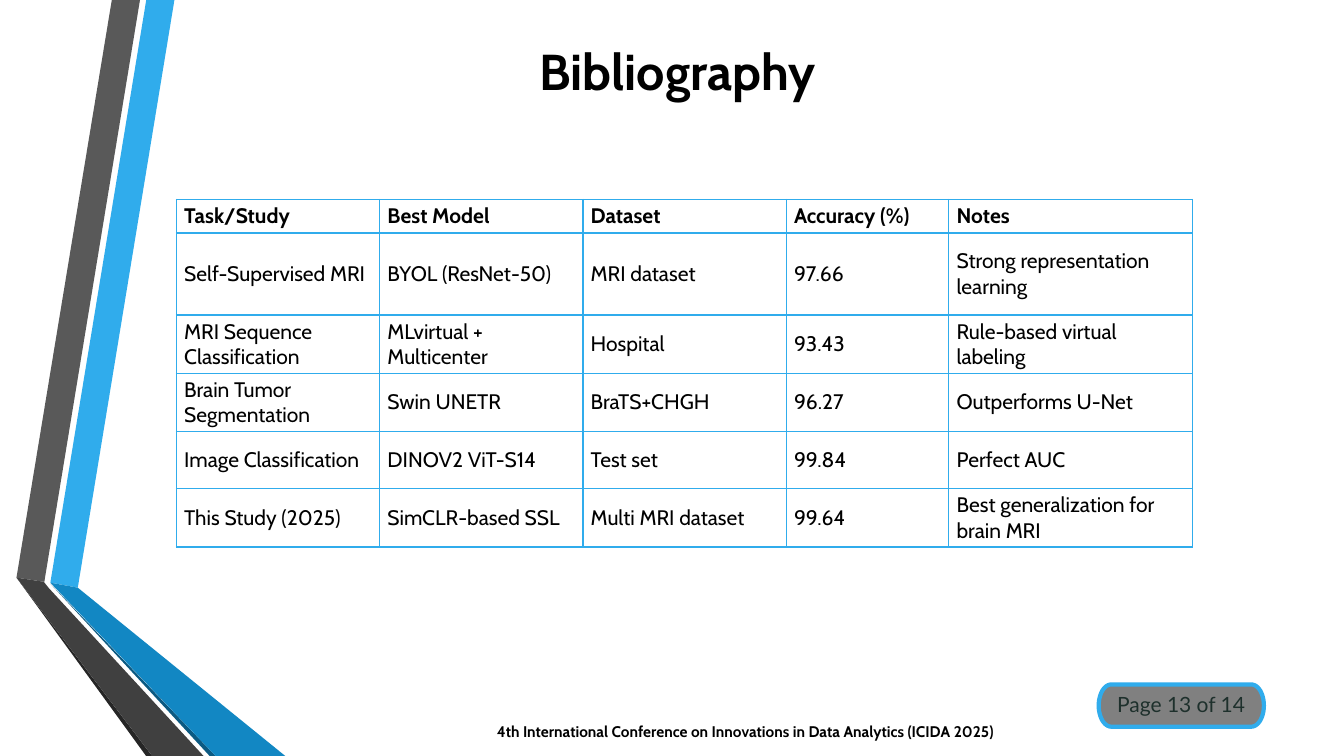
import math
from dataclasses import dataclass

from lxml import etree
from pptx import Presentation
from pptx import util as u
from pptx.dml import color
from pptx.enum import text as t
from pptx.oxml import ns

Pt = u.Pt


@dataclass(frozen=True)
class Theme:
    font: str = "Cabin"
    badge_font: str = "Lato"
    black: str = "000000"
    accent: str = "30ACEC"
    badge_fill: str = "808080"
    badge_text: str = "1E302C"
    title_size: float = 36
    body_size: float = 15
    footer_size: float = 11


THEME = Theme()

RIBBONS = [
    ("30ACEC", [(36, 416.2), (55.6, 419.8), (124.6, 0), (104.5, 0)]),
    ("595959", [(100, 0), (79.9, 0), (11.8, 412.6), (31.7, 415.6)]),
    ("262626", [(11.8, 412.6), (104.4, 540), (108.7, 540)]),
    ("0C5A82", [(36, 416.9), (149.8, 540), (154.1, 540)]),
    ("1287C3", [(36, 416.2), (154.1, 540), (203.8, 540), (55.6, 419.8)]),
    ("404040", [(145.4, 540), (34.6, 419.8), (31.3, 415.6), (11.8, 412.6), (108.7, 540)]),
]

STUDIES = [
    ["Task/Study", "Best Model", "Dataset", "Accuracy (%)", "Notes"],
    ["Self-Supervised MRI", "BYOL (ResNet-50)", "MRI dataset", "97.66",
     "Strong representation learning"],
    ["MRI Sequence Classification", "MLvirtual + Multicenter", "Hospital", "93.43",
     "Rule-based virtual labeling"],
    ["Brain Tumor Segmentation", "Swin UNETR", "BraTS+CHGH", "96.27", "Outperforms U-Net"],
    ["Image Classification", "DINOV2 ViT-S14", "Test set", "99.84", "Perfect AUC"],
    ["This Study (2025)", "SimCLR-based SSL", "Multi MRI dataset", "99.64",
     "Best generalization for brain MRI"],
]
COLUMN_SHARES = [0.2, 0.2, 0.2, 0.16, 0.24]
ROW_HEIGHTS = [24, 58.5] + [41] * 4


def rgb(value):
    return color.RGBColor.from_string(value)


def set_attributes(target, values):
    for name, value in values.items():
        setattr(target, name, value)


def write_text(frame, content, size, font=THEME.font, ink=THEME.black, bold=False,
               align=t.PP_ALIGN.LEFT):
    paragraph = frame.paragraphs[0]
    paragraph.alignment = align
    run = paragraph.add_run()
    run.text = content
    set_attributes(run.font, {"name": font, "size": Pt(size), "bold": bold})
    run.font.color.rgb = rgb(ink)
    return paragraph


def add_text_box(slide, box, margins=None):
    frame = slide.shapes.add_textbox(*map(Pt, box)).text_frame
    set_attributes(frame, {"word_wrap": True, "vertical_anchor": t.MSO_ANCHOR.MIDDLE})
    if margins is not None:
        set_attributes(frame, {f"margin_{side}": Pt(margins)
                               for side in ("left", "top", "right", "bottom")})
    return frame


def add_polygon(slide, left, top, points, fill):
    corners = [(Pt(x), Pt(y)) for x, y in points]
    builder = slide.shapes.build_freeform(*corners[0])
    builder.add_line_segments(corners[1:], close=True)
    shape = builder.convert_to_shape(Pt(left), Pt(top))
    shape.shadow.inherit = False
    shape.fill.solid()
    shape.fill.fore_color.rgb = rgb(fill)
    shape.line.fill.background()
    return shape


# Folded ribbons down the left edge
def add_ribbons(slide, left, top):
    for fill, points in RIBBONS:
        add_polygon(slide, left, top, points, fill)


# Slide title
def add_title(slide, box):
    title = slide.shapes.title
    set_attributes(title, dict(zip(("left", "top", "width", "height"), map(Pt, box))))
    set_attributes(title.text_frame, {"word_wrap": True, "auto_size": t.MSO_AUTO_SIZE.NONE,
                                      "vertical_anchor": t.MSO_ANCHOR.MIDDLE})
    write_text(title.text_frame, "Bibliography", THEME.title_size, bold=True,
               align=t.PP_ALIGN.CENTER)


def add_cell_borders(cell):
    properties = cell._tc.get_or_add_tcPr()
    for side in ("lnL", "lnR", "lnT", "lnB"):
        line = etree.SubElement(properties, ns.qn(f"a:{side}"), w=str(Pt(1)))
        fill = etree.SubElement(line, ns.qn("a:solidFill"))
        etree.SubElement(fill, ns.qn("a:srgbClr"), val=THEME.accent)


# Comparison table
def add_study_table(slide, box):
    table = slide.shapes.add_table(len(STUDIES), len(COLUMN_SHARES), *map(Pt, box)).table
    set_attributes(table, {"first_row": False, "horz_banding": False})
    for column, share in zip(table.columns, COLUMN_SHARES):
        column.width = Pt(box[2] * share)
    for row, height, values in zip(table.rows, ROW_HEIGHTS, STUDIES):
        row.height = Pt(height)
        for cell, value in zip(row.cells, values):
            set_attributes(cell, {"margin_left": Pt(5.6), "margin_right": Pt(5.6),
                                  "margin_top": Pt(2.8), "margin_bottom": Pt(2.8),
                                  "vertical_anchor": t.MSO_ANCHOR.MIDDLE})
            write_text(cell.text_frame, value, THEME.body_size, bold=values is STUDIES[0])
            add_cell_borders(cell)
            cell.fill.background()


# Conference line
def add_footer(slide, box):
    write_text(add_text_box(slide, box),
               "4th International Conference on Innovations in Data Analytics (ICIDA 2025)",
               THEME.footer_size, bold=True)


# Page badge with elliptical ends
def add_page_badge(slide, box):
    left, top, width, height = box
    radius_x, radius_y, steps = 9, height / 2, 24
    outline = []
    for centre, start in ((width - radius_x, -90), (radius_x, 90)):
        for step in range(steps + 1):
            angle = math.radians(start + 180 * step / steps)
            outline.append((centre + radius_x * math.cos(angle),
                            radius_y + radius_y * math.sin(angle)))
    badge = add_polygon(slide, left, top, outline, THEME.badge_fill)
    badge.line.color.rgb = rgb(THEME.accent)
    badge.line.width = Pt(3)

    frame = add_text_box(slide, (left - 25, top + 2.2, 167.8, 20.2), margins=0)
    frame.vertical_anchor = t.MSO_ANCHOR.TOP
    paragraph = write_text(frame, "Page 13 of 14", THEME.body_size, THEME.badge_font,
                           THEME.badge_text, align=t.PP_ALIGN.CENTER)
    paragraph.line_spacing = Pt(21)


def main():
    presentation = Presentation()
    set_attributes(presentation, {"slide_width": Pt(960), "slide_height": Pt(540)})
    slide = presentation.slides.add_slide(presentation.slide_layouts[5])
    add_ribbons(slide, 0, 0)
    add_title(slide, (116.6, 28, 734.4, 44))
    add_footer(slide, (347.8, 508.3, 419.8, 28.8))
    add_study_table(slide, (126, 142.5, 726, sum(ROW_HEIGHTS)))
    add_page_badge(slide, (784.8, 488.9, 118, 30.2))
    presentation.save("out.pptx")


if __name__ == "__main__":
    main()
